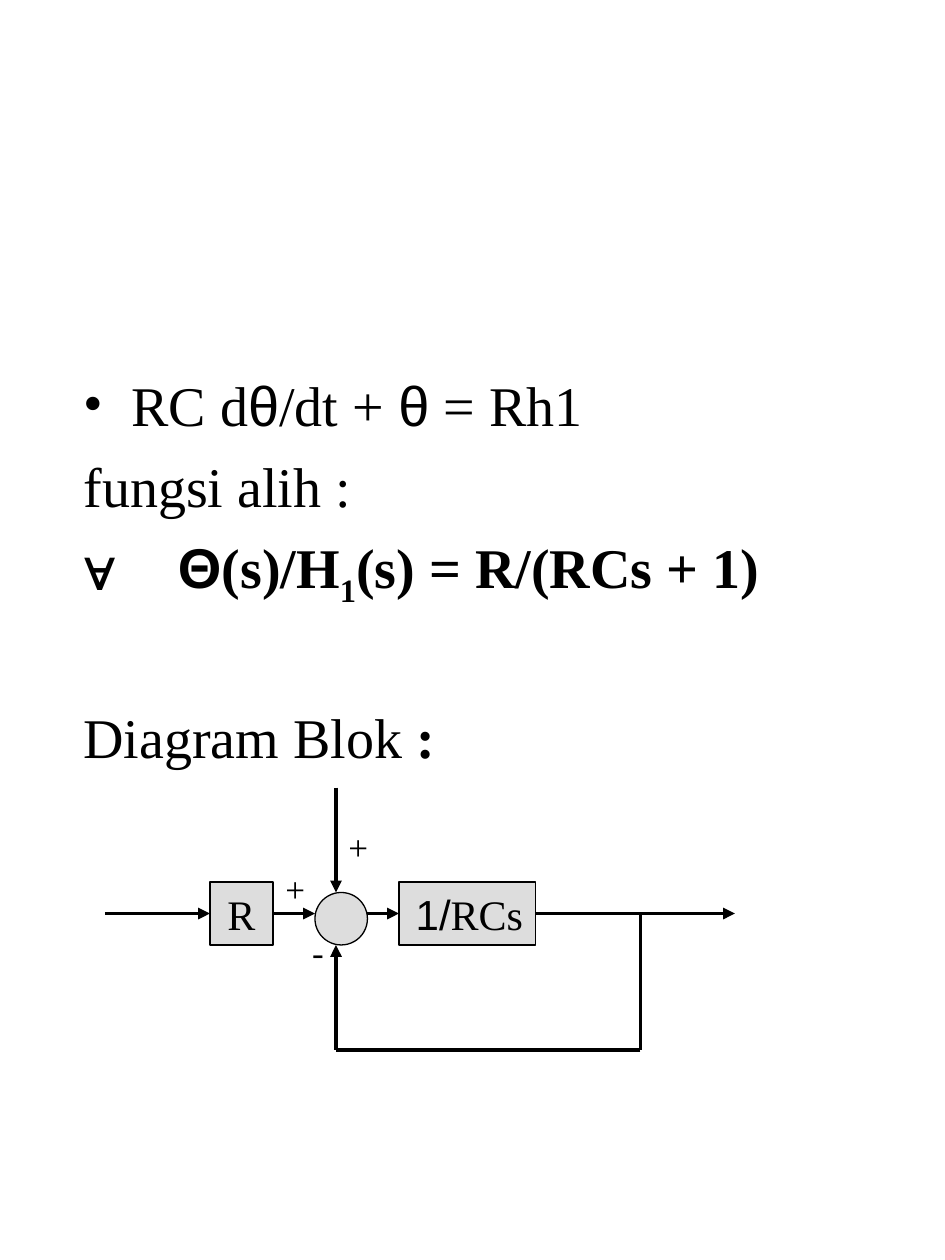
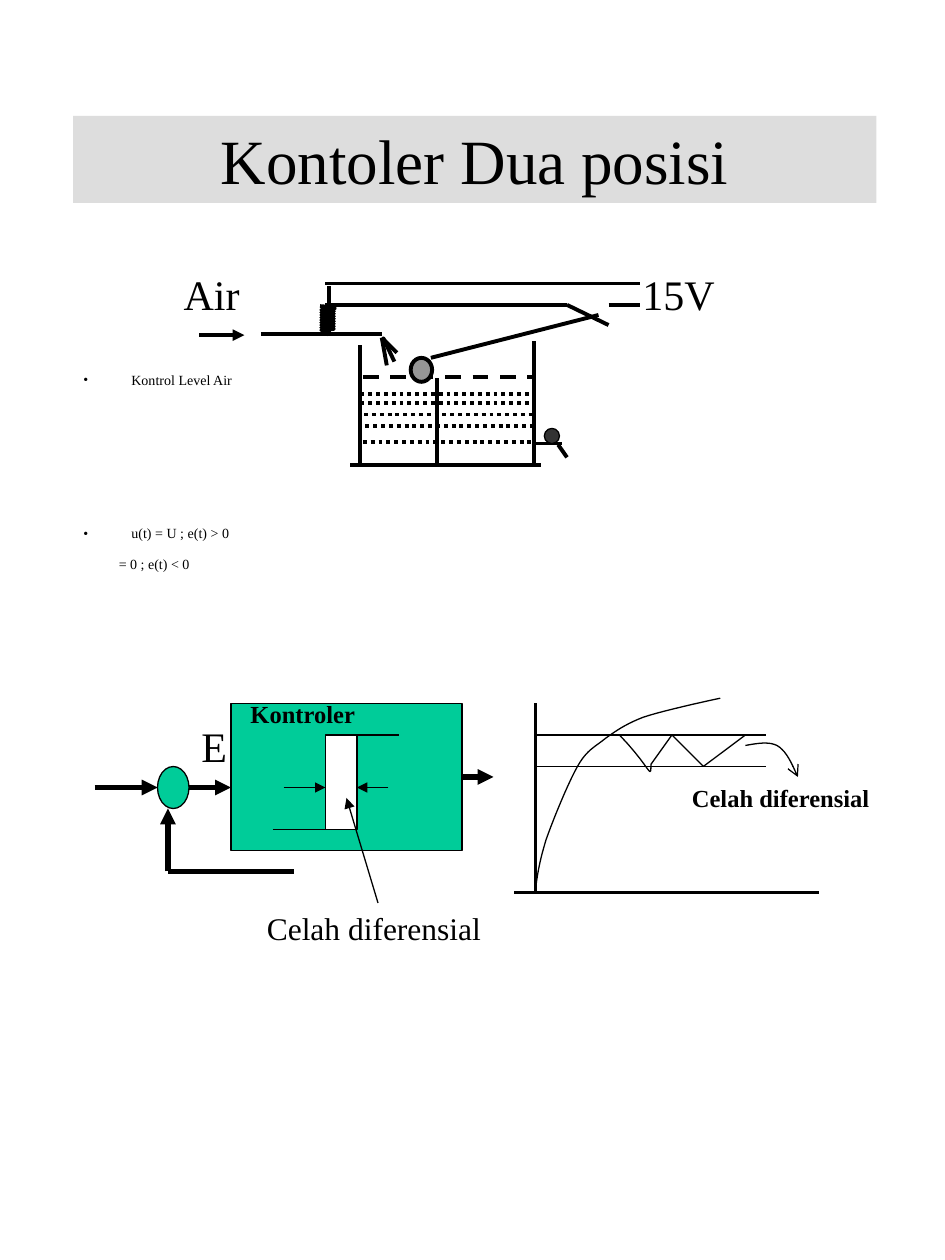
from lxml.etree import SubElement
from pptx import Presentation
from pptx.dml.color import RGBColor
from pptx.enum.dml import MSO_LINE
from pptx.enum.shapes import MSO_CONNECTOR, MSO_SHAPE
from pptx.enum.text import MSO_ANCHOR, PP_ALIGN
from pptx.oxml.ns import qn
from pptx.util import Inches, Pt

THEME = {
    "ink": "000000", "paper": "FFFFFF", "band": "DDDDDD", "accent": "00CC99",
    "float": "969696", "valve": "333333",
    "serif": "Times New Roman", "sans": "Arial",
    "title": 36, "body": 32, "note": 8, "block": 24, "sign": 20, "caption": 18, "small": 14,
    "thin": 0.75, "line": 2.25, "thick": 3,
}
W, H = 7.5, 10
TWELFTH, HUNDREDTH = 1 / 12, 1 / 100
SANS, BOLD = {"face": "sans"}, {"bold": True}
ARROW, DOTS = {"tail": "triangle"}, {"dash": MSO_LINE.ROUND_DOT}
RIGHT, CENTER, LEFT = PP_ALIGN.RIGHT, PP_ALIGN.CENTER, PP_ALIGN.LEFT

# Body paragraphs: left margin, first indent, space before, bullet, runs
EQUATIONS = [
    (0.38, -0.38, 0, "•", [("RC d", {}), ("θ", SANS), ("/dt + ", {}), ("θ", SANS), (" = Rh1", {})]),
    (0.38, -0.38, 8, None, [("fungsi alih :", {})]),
    (0.75, -0.75, 8, "∀", [("Θ", {**SANS, **BOLD}), ("(s)/H", BOLD), ("1", {**BOLD, "sub": -25}),
                           ("(s) = R/(RCs + 1)", BOLD)]),
    (0.38, -0.38, 53, None, [("Diagram Blok", {}), (" :", BOLD)]),
]
NOTES = [
    (0.38, -0.38, 0, "•", [("Kontrol Level Air", {})]),
    (0.38, -0.38, 78, "•", [("u(t) = U ; e(t) > 0", {})]),
    (0.28, 0, 8, None, [("= 0 ; e(t) < 0", {})]),
]
TITLE = "Kontoler Dua posisi"

BLOCK_DIAGRAM = [
    ("shape", "OVAL", "band", "thin", (30, 85, 5, 5)),
    ("shape", "RECTANGLE", "band", "thin", (38, 84, 13, 6)),
    ("shape", "RECTANGLE", "band", "thin", (20, 84, 6, 6)),
    ("lines", "line", ARROW, [(32, 75, 32, 85), (26, 87, 30, 87), (35, 87, 38, 87),
                              (51, 87, 70, 87), (32, 100, 32, 90), (10, 87, 20, 87)]),
    ("lines", "line", {}, [(61, 87, 61, 100), (61, 100, 32, 100)]),
    ("label", "block", RIGHT, (38, 84, 13, 6), [("1/", SANS), ("RCs", {})]),
    ("label", "block", CENTER, (20, 84, 6, 6), [("R", {})]),
    ("label", "sign", RIGHT, (26, 82, 4, 5.3), [("+", {})]),
    ("label", "sign", RIGHT, (32, 78, 4, 5.3), [("+", {})]),
    ("label", "sign", RIGHT, (28, 88, 4, 5.3), [("-", {})]),
]
COIL = [(255 + 10 * (i % 2), 244 + i) for i in range(1, 19)] + [(261, 263)]
TANK = [
    ("lines", "line", {}, [(207, 265, 303, 265), (261, 267, 261, 227)]),
    ("curve", "line", {}, (254, 243), [(267, 244), (254, 243)]),
    ("curve", "line", {}, (266, 244), COIL),
    ("lines", "line", {}, [
        (258, 225, 508, 225), (286, 274, 286, 370), (424, 271, 424, 371), (278, 369, 429, 369),
        (303, 268, 307, 290), (303, 268, 315, 280), (304, 268, 313, 287)]),
    ("lines", "line", {"dash": MSO_LINE.DASH}, [(288, 299, 422, 299)]),
    ("lines", "line", DOTS, [(x, y, x + 135, y) for x, y in
                             [(288, 351), (290, 338), (286, 320), (289, 329), (286, 313)]]),
    ("shape", "OVAL", "float", "line", (326, 284, 17, 19)),
    ("lines", "line", {}, [(342, 284, 475, 250), (425, 352, 446, 352), (443, 353, 450, 363)]),
    ("shape", "OVAL", "valve", "thin", (432, 340, 12, 12)),
    ("lines", "line", ARROW, [(158, 266, 194, 266)]),
    ("lines", "line", {}, [(347, 300, 347, 368), (258, 242, 450, 242),
                           (450, 242, 483, 258), (483, 242, 508, 242)]),
    ("label", "block", LEFT, (500, 208, 92, 50), [("15V", {})]),
    ("label", "block", RIGHT, (92, 208, 108, 50), [("Air", {})]),
]
CONTROLLER = [
    ("shape", "OVAL", "accent", "thin", (15, 73, 3, 4)),
    ("shape", "RECTANGLE", "accent", "thin", (22, 67, 22, 14)),
    ("shape", "RECTANGLE", "paper", "thin", (31, 70, 3, 9)),
    ("lines", "thick", ARROW, [(18, 75, 22, 75), (9, 75, 15, 75), (16, 83, 16, 77), (44, 74, 47, 74)]),
    ("lines", "thick", {}, [(16, 83, 28, 83)]),
    ("lines", "thin", {}, [(26, 79, 32, 79), (33, 70, 38, 70)]),
    ("lines", "thin", ARROW, [(27, 75, 31, 75), (37, 75, 34, 75), (36, 86, 33, 76)]),
    ("label", "caption", RIGHT, (22, 86, 25, 4.8), [("Celah diferensial", {})]),
    ("label", "small", RIGHT, (17, 66, 18, 4), [("Kontroler", BOLD)]),
    ("label", "block", RIGHT, (18, 68, 4, 6), [("E", {})]),
]
RESPONSE = [
    ("lines", "line", {}, [(51, 67, 51, 85), (49, 85, 78, 85)]),
    ("curve", "thin", {}, (51, 85), [
        (51.1, 83.5, 51.4, 82, 52, 80), (52.7, 78, 54.1, 74.6, 55, 73),
        (55.9, 71.4, 56.6, 71.2, 57.7, 70.3), (58.7, 69.6, 59.5, 69, 61.3, 68.3),
        (63.1, 67.7, 67.2, 66.8, 68.6, 66.5)]),
    ("lines", "thin", {}, [(51, 70, 73, 70), (51, 73, 73, 73)]),
    ("curve", "thin", {}, (59, 70), [(62, 73.1, 62, 74.4, 62, 72.8), (64, 70), (67, 73), (71, 70)]),
    ("label", "small", RIGHT, (61, 74, 23, 4), [("Celah diferensial", BOLD)]),
    ("curve", "thin", {"tail": "arrow"}, (71, 71), [
        (72.1, 70.8, 73.2, 70.6, 74, 71), (74.9, 71.5, 75.4, 72.7, 76, 74)]),
]


def color(name):
    return RGBColor.from_string(THEME[name])


def add_runs(p, runs, size):
    for text, fmt in runs:
        r = p.add_run()
        r.text = text
        r.font.color.rgb = color("ink")
        values = {"name": THEME[fmt.get("face", "serif")], "size": Pt(THEME[size]),
                  "bold": fmt.get("bold", False)}
        for key, value in values.items():
            setattr(r.font, key, value)
        if "sub" in fmt:
            r.font._element.set("baseline", str(fmt["sub"] * 1000))


def outline(sp, weight, dash=None, tail=None):
    sp.line.color.rgb = color("ink")
    sp.line.width = Pt(THEME[weight])
    if dash:
        sp.line.dash_style = dash
    spPr = sp.element.spPr
    if tail:
        SubElement(spPr.find(qn("a:ln")), qn("a:tailEnd"), type=tail)
    SubElement(spPr, qn("a:effectLst"))


def bezier(p0, seg, steps=10):
    """Points along a straight (2 numbers) or cubic (6 numbers) segment."""
    if len(seg) == 2:
        return [seg]
    ctrl = [p0, seg[:2], seg[2:4], seg[4:]]
    points = []
    for t in (i / steps for i in range(1, steps + 1)):
        weights = ((1 - t) ** 3, 3 * t * (1 - t) ** 2, 3 * t * t * (1 - t), t ** 3)
        points.append(tuple(sum(w * c[k] for w, c in zip(weights, ctrl)) for k in (0, 1)))
    return points


def draw_shape(shapes, emu, kind, fill, weight, box):
    sp = shapes.add_shape(getattr(MSO_SHAPE, kind), *emu(box))
    sp.fill.solid()
    sp.fill.fore_color.rgb = color(fill)
    outline(sp, weight)


def draw_lines(shapes, emu, weight, style, ends):
    for end in ends:
        outline(shapes.add_connector(MSO_CONNECTOR.STRAIGHT, *emu(end)), weight, **style)


def draw_curve(shapes, emu, weight, style, start, segments):
    points = [start]
    for seg in segments:
        points += bezier(points[-1], seg)
    fb = shapes.build_freeform(*emu(start))
    fb.add_line_segments([emu(pt) for pt in points[1:]], close=False)
    sp = fb.convert_to_shape()
    sp.fill.background()
    outline(sp, weight, **style)


def draw_label(shapes, emu, size, align, box, runs):
    tf = shapes.add_textbox(*emu(box)).text_frame
    tf.word_wrap = True
    p = tf.paragraphs[0]
    p.alignment = align
    add_runs(p, runs, size)


DRAW = {"shape": draw_shape, "lines": draw_lines, "curve": draw_curve, "label": draw_label}


def draw(shapes, unit, items):
    def emu(values):
        return [Inches(v * unit) for v in values]
    for kind, *args in items:
        DRAW[kind](shapes, emu, *args)


def place(sp, left, top, width, height):
    box = {"left": left, "top": top, "width": width, "height": height}
    for key, value in box.items():
        setattr(sp, key, Inches(value))


def fill_body(s, top, height, inset, size, paragraphs):
    sp = s.placeholders[1]
    place(sp, 0.075 * W, top, 0.85 * W, height)
    tf = sp.text_frame
    tf.margin_top = Inches(inset)
    for i, (margin, indent, before, bullet, runs) in enumerate(paragraphs):
        p = tf.paragraphs[0] if i == 0 else tf.add_paragraph()
        pPr = p._p.get_or_add_pPr()
        pPr.set("marL", str(Inches(margin)))
        pPr.set("indent", str(Inches(indent)))
        if bullet:
            SubElement(pPr, qn("a:buFont"), typeface=THEME["serif"])
            SubElement(pPr, qn("a:buChar"), char=bullet)
        else:
            SubElement(pPr, qn("a:buNone"))
        p.space_before = Pt(before)
        add_runs(p, runs, size)


def fill_title(s, text):
    sp = s.shapes.title
    place(sp, 0.58, 0.92, 0.85 * W, 0.69)
    sp.fill.solid()
    sp.fill.fore_color.rgb = color("band")
    tf = sp.text_frame
    tf.vertical_anchor = MSO_ANCHOR.MIDDLE
    p = tf.paragraphs[0]
    p.alignment = CENTER
    add_runs(p, [(text, {})], "title")


def main():
    prs = Presentation()
    prs.slide_width, prs.slide_height = Inches(W), Inches(H)
    layout = prs.slide_layouts[1]

    s = prs.slides.add_slide(layout)
    title = s.shapes.title.element
    title.getparent().remove(title)
    fill_body(s, 2.89, 0.6 * H, 0.05, "body", EQUATIONS)
    draw(s.shapes.add_group_shape().shapes, TWELFTH, BLOCK_DIAGRAM)

    s = prs.slides.add_slide(layout)
    fill_title(s, TITLE)
    fill_body(s, 1.92, 6.97, 1.03, "note", NOTES)
    draw(s.shapes, HUNDREDTH, TANK)
    for items in (CONTROLLER, RESPONSE):
        draw(s.shapes.add_group_shape().shapes, TWELFTH, items)

    prs.save("out.pptx")


if __name__ == "__main__":
    main()
